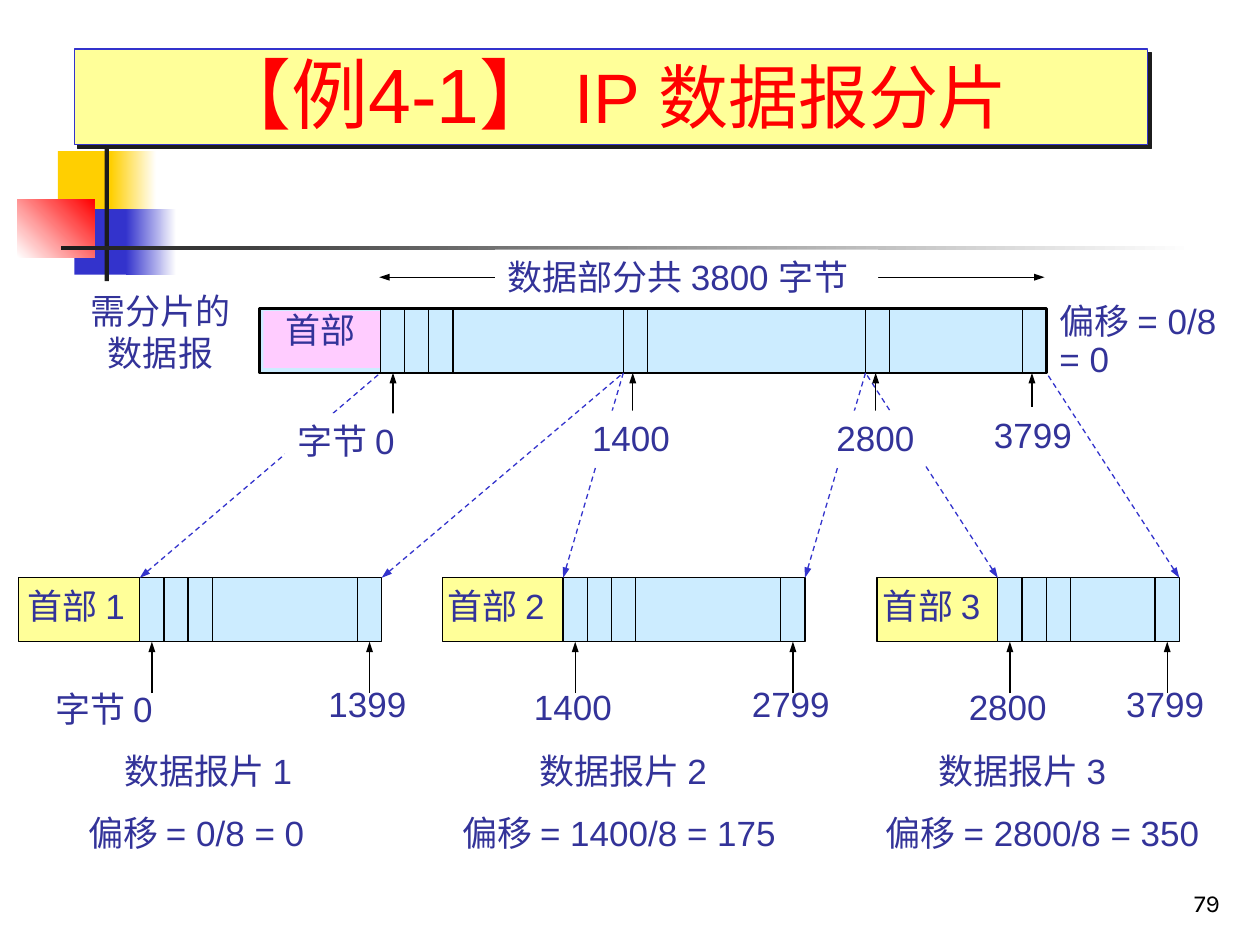
from dataclasses import dataclass

from lxml.etree import SubElement
from pptx import Presentation
from pptx.dml.color import RGBColor
from pptx.enum.dml import MSO_LINE
from pptx.enum.shapes import MSO_CONNECTOR, MSO_SHAPE
from pptx.enum.text import MSO_ANCHOR, MSO_AUTO_SIZE, PP_ALIGN
from pptx.oxml.ns import qn
from pptx.util import Pt


@dataclass(frozen=True)
class Theme:
    black: str = "000000"
    dark: str = "1C1C1C"
    white: str = "FFFFFF"
    red: str = "FF0000"
    gold: str = "FFCF01"
    blue: str = "3333CC"
    text: str = "333399"
    data: str = "CCECFF"
    header: str = "FFFF99"
    original_header: str = "FFCCFF"
    font: str = "Arial"
    number_font: str = "Karla"
    body_size: int = 20
    title_size: int = 40
    title_lead_size: int = 44
    number_size: int = 14


@dataclass(frozen=True)
class Fragment:
    number: int
    data_left: float
    data_width: float
    first_byte: str
    first_byte_box: tuple
    last_byte: str
    header_text_left: float
    caption_left: float
    offset: str
    offset_left: float
    offset_width: float


class SlideBuilder:
    def __init__(self, slide, theme):
        self.slide = slide
        self.theme = theme

    def box(self, left, top, width, height, fill, line=None, weight=0.75):
        shape = self.slide.shapes.add_shape(
            MSO_SHAPE.RECTANGLE, Pt(left), Pt(top), Pt(width), Pt(height))
        shape.shadow.inherit = False
        shape.fill.solid()
        shape.fill.fore_color.rgb = RGBColor.from_string(fill)
        if line:
            shape.line.color.rgb = RGBColor.from_string(line)
            shape.line.width = Pt(weight)
        else:
            shape.line.fill.background()
        return shape

    def gradient_box(self, left, top, width, height, start, end, angle=0):
        shape = self.box(left, top, width, height, start)
        shape.fill.gradient()
        shape.fill.gradient_angle = angle
        for stop, color in zip(shape.fill.gradient_stops, (start, end)):
            stop.color.rgb = RGBColor.from_string(color)

    def line(self, x1, y1, x2, y2, color=None, dashed=False, ends=()):
        """Draw a line; ends may name headEnd (start) and tailEnd (finish)."""
        connector = self.slide.shapes.add_connector(
            MSO_CONNECTOR.STRAIGHT, Pt(x1), Pt(y1), Pt(x2), Pt(y2))
        connector.line.color.rgb = RGBColor.from_string(color or self.theme.black)
        connector.line.width = Pt(0.75)
        if dashed:
            connector.line.dash_style = MSO_LINE.DASH
        outline = connector.line._get_or_add_ln()
        for end in ends:
            SubElement(outline, qn(f"a:{end}"), type="triangle", w="sm", len="med")
        SubElement(connector._element.spPr, qn("a:effectLst"))

    def label(self, text, left, top, width, height=31.7, fill=None,
              align=PP_ALIGN.LEFT, last_spacing=None):
        shape = self.slide.shapes.add_textbox(Pt(left), Pt(top), Pt(width), Pt(height))
        if fill:
            shape.fill.solid()
            shape.fill.fore_color.rgb = RGBColor.from_string(fill)
        frame = shape.text_frame
        frame.text = text
        frame.word_wrap = False
        frame.auto_size = MSO_AUTO_SIZE.SHAPE_TO_FIT_TEXT
        for paragraph in frame.paragraphs:
            paragraph.alignment = align
            self.style(paragraph.font, self.theme.body_size, self.theme.text)
        if last_spacing:
            frame.paragraphs[-1].line_spacing = last_spacing

    def title(self, left, top, width, height, runs):
        shape = self.box(left, top, width, height, self.theme.header, self.theme.blue)
        effects = shape._element.spPr.find(qn("a:effectLst"))
        shadow = SubElement(effects, qn("a:outerShdw"), dist=str(Pt(2.8)),
                            dir="2700000", algn="ctr", rotWithShape="0")
        SubElement(shadow, qn("a:srgbClr"), val=self.theme.dark)
        frame = shape.text_frame
        frame.word_wrap = True
        frame.vertical_anchor = MSO_ANCHOR.BOTTOM
        paragraph = frame.paragraphs[0]
        paragraph.alignment = PP_ALIGN.CENTER
        for text, size in runs:
            run = paragraph.add_run()
            run.text = text
            self.style(run.font, size, self.theme.red)

    def slide_number(self, text, left, top, width, height):
        shape = self.slide.shapes.add_textbox(Pt(left), Pt(top), Pt(width), Pt(height))
        frame = shape.text_frame
        frame.text = text
        frame.word_wrap = True
        frame.vertical_anchor = MSO_ANCHOR.BOTTOM
        paragraph = frame.paragraphs[0]
        paragraph.alignment = PP_ALIGN.RIGHT
        self.style(paragraph.font, self.theme.number_size, self.theme.black,
                   self.theme.number_font)

    def style(self, font, size, color, name=None):
        font.name = name or self.theme.font
        font.size = Pt(size)
        font.color.rgb = RGBColor.from_string(color)


CELL = 13.8
HEADER_WIDTH = 69.1
BAR_TOP, BAR_BOTTOM = 176.4, 213.1
FRAGMENT_TOP, FRAGMENT_BOTTOM = 330.2, 366.7
BOUNDARIES = (217.4, 356.2, 494.6, 598)
FRAGMENTS = (
    Fragment(1, 79.9, 138.2, "字节 0", (24.5, 389.5, 75), "1399", 8.6, 64,
             "0/8 = 0", 43.2, 142.6),
    Fragment(2, 321.8, 138.2, "1400", (298, 388, 59), "2799", 248.4, 301,
             "1400/8 = 175", 257, 198.7),
    Fragment(3, 570.2, 103.7, "2800", (546.5, 388, 59), "3799", 497.5, 529.2,
             "2800/8 = 350", 499, 198.7),
)


def draw_background(builder):
    theme = builder.theme
    builder.box(33.1, 86.4, 34.6, 37.4, theme.gold)
    builder.gradient_box(63.4, 86.4, 25.9, 37.4, theme.gold, theme.white)
    builder.box(42.5, 119.5, 33.1, 37.4, theme.blue)
    builder.gradient_box(72, 119.5, 28.8, 37.4, theme.blue, theme.white)
    builder.gradient_box(10, 113.8, 44, 33.1, theme.white, theme.red, 45)
    builder.box(59.8, 77.8, 2.4, 82.8, theme.dark)
    builder.gradient_box(34.6, 140.4, 648, 2.4, theme.dark, theme.white)


def draw_original_datagram(builder):
    theme = builder.theme
    start, second, third, end = BOUNDARIES
    builder.box(148.3, BAR_TOP, end - 148.3, BAR_BOTTOM - BAR_TOP,
                theme.data, theme.black, 1.5)
    builder.box(150.5, 177.8, 67, 32.4, theme.original_header)
    builder.label("首部", 156.2, 172.8, 58)
    dividers = [start + CELL * index for index in range(4)]
    dividers += [second, second + CELL, third, third + CELL, end - CELL]
    for x in dividers:
        builder.line(x, BAR_TOP, x, BAR_BOTTOM)
    builder.line(216.7, 158.4, 596.9, 158.4, ends=("headEnd", "tailEnd"))
    builder.label("数据部分共 3800 字节", 283, 142.6, 218.9, fill=theme.white)
    builder.label("需分片的\n数据报", 44.6, 162, 94.3, 55.4, align=PP_ALIGN.CENTER)
    builder.label("偏移 = 0/8\n= 0", 598.3, 167.8, 108.7, 53.3, last_spacing=0.9)


def draw_byte_mark(builder, x, text, left, top, width):
    builder.line(x, 241.9, x, BAR_BOTTOM, ends=("tailEnd",))
    builder.label(text, left, top, width, fill=builder.theme.white)


def draw_fragment(builder, fragment):
    theme = builder.theme
    left, right = fragment.data_left, fragment.data_left + fragment.data_width
    height = FRAGMENT_BOTTOM - FRAGMENT_TOP
    builder.box(left, FRAGMENT_TOP, fragment.data_width, height, theme.data, theme.black)
    builder.box(left - HEADER_WIDTH, FRAGMENT_TOP, HEADER_WIDTH, height,
                theme.header, theme.black)
    for x in (left + CELL, left + 2 * CELL, left + 3 * CELL, right - CELL):
        builder.line(x, FRAGMENT_TOP, x, FRAGMENT_BOTTOM)
    for x in (left + CELL / 2, right - CELL / 2):
        builder.line(x, 396, x, FRAGMENT_BOTTOM, ends=("tailEnd",))
    builder.label(f"首部 {fragment.number}", fragment.header_text_left, FRAGMENT_TOP, 75)
    builder.label(fragment.first_byte, *fragment.first_byte_box)
    builder.label(fragment.last_byte, right - 37.5, 386.6, 59)
    builder.label(f"数据报片 {fragment.number}", fragment.caption_left, 424.8, 120)
    builder.label(f"偏移 = {fragment.offset}", fragment.offset_left, 460,
                  fragment.offset_width)
    edges = BOUNDARIES[fragment.number - 1:fragment.number + 1]
    for x, boundary in zip((left, right), edges):
        builder.line(x, FRAGMENT_TOP, boundary, BAR_BOTTOM, theme.blue, True, ("headEnd",))


def main():
    presentation = Presentation()
    presentation.slide_width, presentation.slide_height = Pt(720), Pt(540)
    slide = presentation.slides.add_slide(presentation.slide_layouts[6])
    theme = Theme()
    builder = SlideBuilder(slide, theme)

    draw_background(builder)
    draw_original_datagram(builder)
    draw_byte_mark(builder, 589.7, "3799", 560.9, 232.6, 59)
    for fragment in FRAGMENTS:
        draw_fragment(builder, fragment)
    for mark in ((224.6, "字节 0", 162.7, 236.2, 75),
                 (361.6, "1400", 331.2, 234.7, 59),
                 (500.4, "2800", 470.9, 234.7, 59)):
        draw_byte_mark(builder, *mark)
    builder.title(42.5, 28.1, 613.4, 54.7,
                  (("【例4-1】 ", theme.title_lead_size), ("IP 数据报分片", theme.title_size)))
    builder.slide_number("79", 554.4, 491.8, 149.8, 36)
    presentation.save("out.pptx")


if __name__ == "__main__":
    main()
